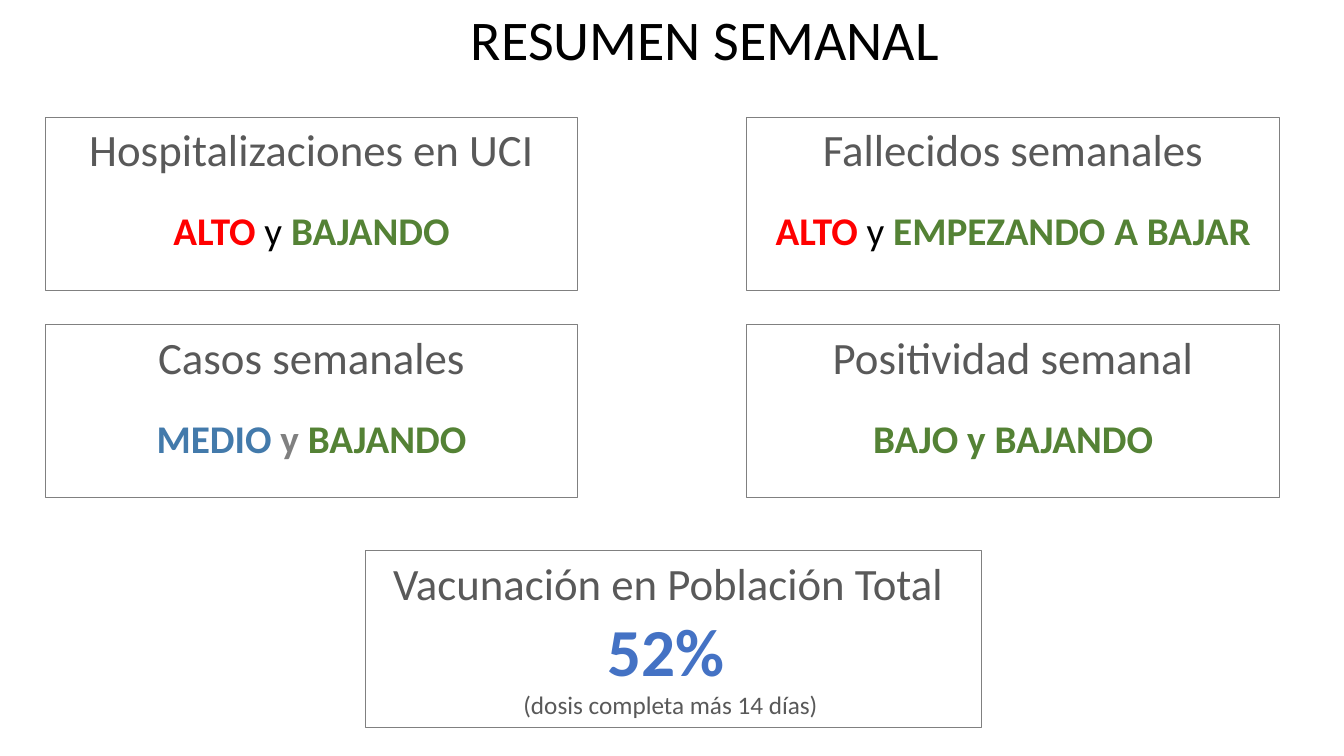
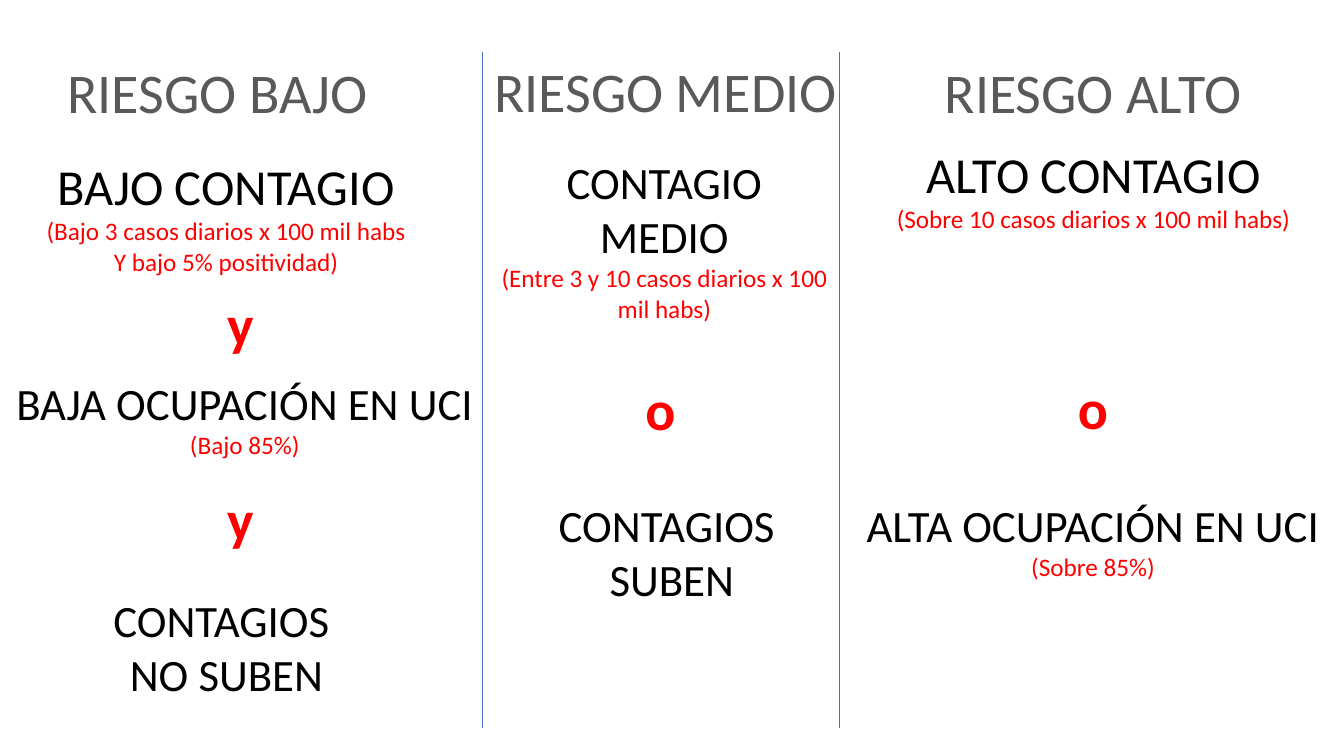
from dataclasses import dataclass
from lxml import etree
from pptx import Presentation
from pptx.dml.color import RGBColor
from pptx.enum.shapes import MSO_CONNECTOR, MSO_SHAPE
from pptx.enum.text import MSO_ANCHOR, PP_ALIGN
from pptx.oxml.ns import qn
from pptx.util import Inches, Pt

RECT = MSO_SHAPE.RECTANGLE
LINE = MSO_CONNECTOR.STRAIGHT
TOP = MSO_ANCHOR.TOP
MID = PP_ALIGN.CENTER


@dataclass(frozen=True)
class Theme:
    font: str = "Calibri"
    ink: str = "000000"
    gray: str = "595959"
    edge: str = "808080"
    red: str = "FF0000"
    green: str = "548235"
    steel: str = "437AAB"
    blue: str = "4472C4"
    huge: int = 48
    title: int = 40
    lead: int = 36
    head: int = 32
    state: int = 28
    note: int = 18
    gap: int = 22
    thin: float = 0.5
    rim: float = 0.75


T = Theme()


@dataclass(frozen=True)
class Box:
    x: float
    y: float
    w: float
    h: float

    def share(self, x, y, w, h):
        return Box(self.x + self.w * x / 100, self.y + self.h * y / 100,
                   self.w * w / 100, self.h * h / 100)

    def place(self):
        return [Inches(v) for v in (self.x, self.y, self.w, self.h)]


PAGE = Box(0, 0, 13.33, 7.5)


def tint(code):
    return RGBColor.from_string(code)


def run(text, size=T.head, color=T.ink, bold=False):
    return text, size, color, bold


def fill(frame, rows, wrap=True, gaps=()):
    frame.word_wrap = wrap
    frame.vertical_anchor = TOP
    for i, row in enumerate(rows):
        para = frame.paragraphs[0] if i == 0 else frame.add_paragraph()
        para.alignment = MID
        if i in gaps:
            para.space_before = Pt(T.gap)
        for text, size, color, bold in row:
            item = para.add_run()
            item.text = text
            item.font.name = T.font
            item.font.size = Pt(size)
            item.font.bold = bold
            item.font.color.rgb = tint(color)


def label(slide, box, rows, wrap=False):
    shape = slide.shapes.add_textbox(*box.place())
    fill(shape.text_frame, rows, wrap)


def card(slide, box, rows, gaps=()):
    shape = slide.shapes.add_shape(RECT, *box.place())
    shape.shadow.inherit = False
    shape.fill.background()
    shape.line.color.rgb = tint(T.edge)
    shape.line.width = Pt(T.rim)
    fill(shape.text_frame, rows, gaps=gaps)


def rule(slide, box):
    x, y, w, h = box.place()
    line = slide.shapes.add_connector(LINE, x, y, x + w, y + h)
    line.line.color.rgb = tint(T.blue)
    line.line.width = Pt(T.thin)
    etree.SubElement(line._element.spPr, qn("a:effectLst"))


def column(slide, box, items):
    for mid, top, wide, tall, rows, *wrap in items:
        area = box.share(mid - wide / 2, top, wide, tall)
        label(slide, area, rows, *wrap)


def summary(slide):
    label(slide, PAGE.share(34.1, 0, 36.7, 10.27),
          [[run("RESUMEN SEMANAL", T.title)]])
    high = run("ALTO", T.state, T.red, True)
    both = run(" y ", T.state)
    down = run("BAJANDO", T.state, T.green, True)
    cards = [
        ("Hospitalizaciones en UCI", [high, both, down]),
        ("Fallecidos semanales",
         [high, both, run("EMPEZANDO A BAJAR", T.state, T.green, True)]),
        ("Casos semanales",
         [run("MEDIO ", T.state, T.steel, True),
          run("y ", T.state, T.edge, True), down]),
        ("Positividad semanal",
         [run("BAJO y BAJANDO", T.state, T.green, True)]),
    ]
    for i, (head, state) in enumerate(cards):
        row, col = divmod(i, 2)
        box = PAGE.share(3.38 + 52.2 * col, 15.5 + 27.4 * row, 39.6, 22.95)
        card(slide, box, [[run(head, color=T.gray)], state], gaps=(1,))
    card(slide, PAGE.share(27.2, 72.8, 45.8, 23.4), [
        [run("Vacunación en Población Total ", color=T.gray)],
        [run("52% ", T.huge, T.blue, True)],
        [run("(dosis completa más 14 días) ", T.note, T.gray)]])


def risks(slide):
    def name(text):
        return [[run(text, T.title, T.gray)]]

    def fact(text, *notes, size=T.head):
        return [[run(text, size)]] + [[run(n, T.note, T.red)] for n in notes]

    def link(text):
        return [[run(text, T.title, T.red, True)]]

    def pair(one, two):
        return [[run(one)], [run(two)]]

    low = [
        (45.1, 6.93, 67.2, 10.27, name("RIESGO BAJO")),
        (46.9, 19.87, 79.5, 17.5,
         fact("BAJO CONTAGIO", "(Bajo 3 casos diarios x 100 mil habs",
              "Y bajo 5% positividad)", size=T.lead)),
        (49.9, 37.6, 9.8, 10.27, link("y")),
        (50.8, 49.07, 100, 12.5,
         fact("BAJA OCUPACIÓN EN UCI", "(Bajo 85%)")),
        (49.9, 63.5, 9.8, 10.27, link("y")),
        (47, 77.73, 51.7, 15.7, pair("CONTAGIOS ", "NO SUBEN")),
    ]
    medium = [
        (51.4, 6.8, 102.8, 10.27, name("RIESGO MEDIO")),
        (51.1, 19.87, 98.3, 39.1,
         fact("CONTAGIO MEDIO",
              "(Entre 3 y 10 casos diarios x 100 mil habs)"), True),
        (50, 48.9, 14.1, 10.27, link("o")),
        (53.2, 65.2, 69.8, 15.7, pair("CONTAGIOS ", "SUBEN")),
    ]
    high = [
        (50.3, 6.93, 63.5, 10.27, name("RIESGO ALTO")),
        (50.4, 18.27, 82.8, 13.5,
         fact("ALTO CONTAGIO", "(Sobre 10 casos diarios x 100 mil habs)",
              size=T.lead)),
        (50.3, 48.8, 10, 10.27, link("o")),
        (50.3, 65.2, 94.6, 12.5,
         fact("ALTA OCUPACIÓN EN UCI", "(Sobre 85%)")),
    ]
    edges = [0, 35.86, 62.42, 100]
    for left, right, items in zip(edges, edges[1:], (low, medium, high)):
        column(slide, PAGE.share(left, 0, right - left, 100), items)
    for edge in edges[1:-1]:
        rule(slide, PAGE.share(edge, 6.93, 0, 89.33))


def main():
    deck = Presentation()
    deck.slide_width = Inches(PAGE.w)
    deck.slide_height = Inches(PAGE.h)
    blank = deck.slide_layouts[6]
    for build in (summary, risks):
        build(deck.slides.add_slide(blank))
    deck.save("out.pptx")


if __name__ == "__main__":
    main()
